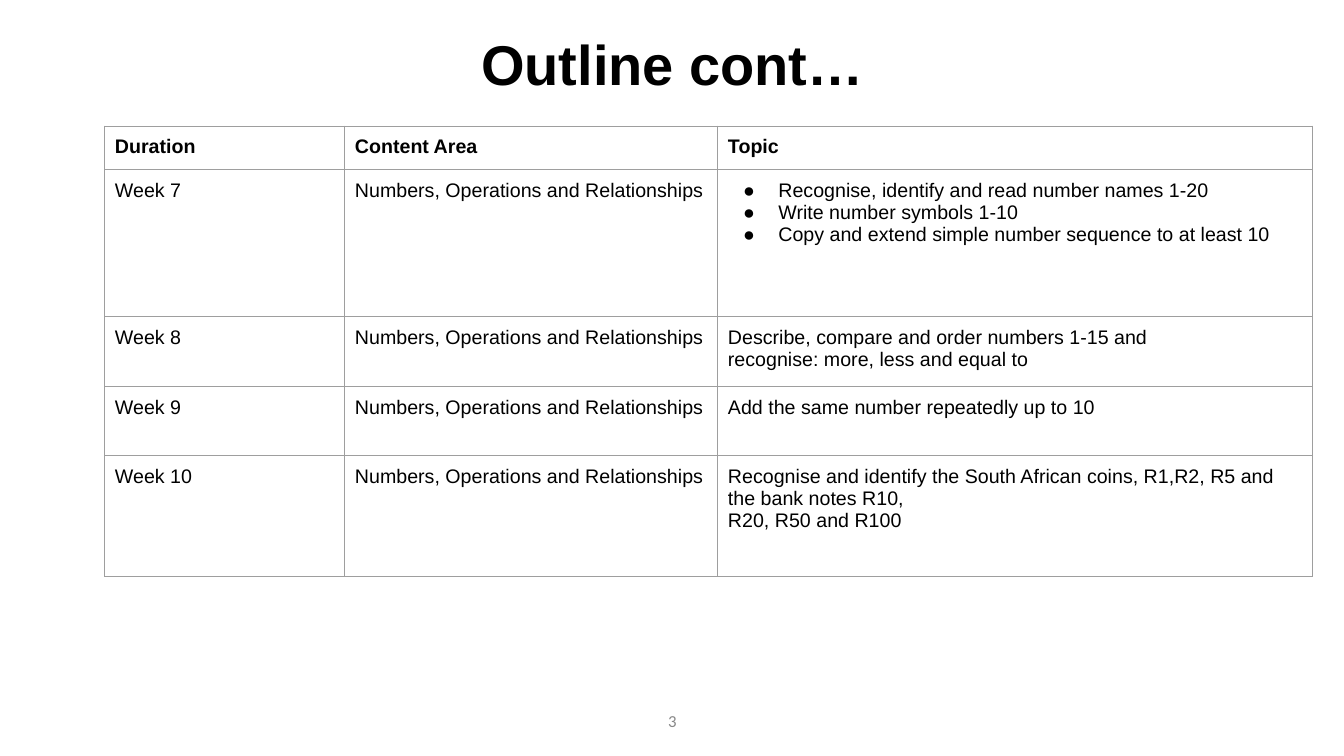
from dataclasses import dataclass

from lxml.etree import SubElement
from pptx import Presentation
from pptx.dml.color import RGBColor
from pptx.enum.text import MSO_ANCHOR, PP_ALIGN
from pptx.oxml import parse_xml
from pptx.oxml.ns import nsdecls, qn
from pptx.slide import Slide
from pptx.table import _Cell
from pptx.text.text import _Paragraph
from pptx.util import Inches, Pt

COLORS = {"text": "000000", "number": "888888", "border": "9E9E9E"}
COLUMN_WIDTHS = (2.38, 3.7, 5.9)
HEADINGS = ("Duration", "Content Area", "Topic")
HEADING_HEIGHT = 0.43
CONTENT_AREA = "Numbers, Operations and Relationships"


@dataclass(frozen=True)
class Week:
    number: int
    height: float
    topics: tuple[str, ...]
    bulleted: bool = False


@dataclass(frozen=True)
class Label:
    text: str
    left: float
    top: float
    width: float
    height: float
    size: int
    font: str
    color: str
    anchor: MSO_ANCHOR
    bold: bool = False
    line_spacing: float = 1.0


WEEKS = (
    Week(7, 1.46, (
        "Recognise, identify and read number names 1-20",
        "Write number symbols 1-10",
        "Copy and extend simple number sequence to at least 10",
    ), bulleted=True),
    Week(8, 0.69, (
        "Describe, compare and order numbers 1-15 and",
        "recognise: more, less and equal to",
    )),
    Week(9, 0.69, ("Add the same number repeatedly up to 10",)),
    Week(10, 1.2, (
        "Recognise and identify the South African coins, R1,R2, R5 and the bank notes R10,",
        "R20, R50 and R100",
    )),
)

LABELS = (
    Label("Outline cont…", 0.92, 0.12, 11.5, 0.9, 40, "Arial", "text",
          MSO_ANCHOR.BOTTOM, bold=True, line_spacing=0.9),
    Label("3", 4.42, 6.95, 4.5, 0.4, 12, "Calibri", "number", MSO_ANCHOR.MIDDLE),
)


def style_paragraph(para: _Paragraph, name: str, size: int, color: str, bold: bool) -> None:
    para.font.name = name
    para.font.size = Pt(size)
    para.font.bold = bold
    para.font.color.rgb = RGBColor.from_string(COLORS[color])


def add_label(page: Slide, label: Label) -> None:
    box = page.shapes.add_textbox(Inches(label.left), Inches(label.top),
                                  Inches(label.width), Inches(label.height))
    frame = box.text_frame
    frame.word_wrap = True
    frame.vertical_anchor = label.anchor
    para = frame.paragraphs[0]
    para.text = label.text
    para.alignment = PP_ALIGN.CENTER
    para.line_spacing = label.line_spacing
    style_paragraph(para, label.font, label.size, label.color, label.bold)


def add_bullet(para: _Paragraph) -> None:
    properties = para._p.get_or_add_pPr()
    properties.set("marL", str(Inches(0.5)))
    properties.set("indent", str(Inches(-0.35)))
    bullet_color = SubElement(properties, qn("a:buClr"))
    SubElement(bullet_color, qn("a:srgbClr"), val=COLORS["text"])
    SubElement(properties, qn("a:buFont"), typeface="Arial")
    SubElement(properties, qn("a:buChar"), char="●")


def add_borders(cell: _Cell) -> None:
    properties = cell._tc.get_or_add_tcPr()
    for index, side in enumerate(("lnL", "lnR", "lnT", "lnB")):
        properties.insert(index, parse_xml(
            f'<a:{side} {nsdecls("a")} w="{Pt(0.75)}"><a:solidFill>'
            f'<a:srgbClr val="{COLORS["border"]}"/></a:solidFill></a:{side}>'))


def fill_cell(cell: _Cell, lines: tuple[str, ...], bold: bool, bulleted: bool) -> None:
    cell.margin_left = cell.margin_right = Inches(0.1)
    cell.margin_top = cell.margin_bottom = Inches(0.1)
    cell.fill.background()
    add_borders(cell)
    cell.text = "\n".join(lines)
    for para in cell.text_frame.paragraphs:
        if bulleted:
            add_bullet(para)
        style_paragraph(para, "Arial", 14, "text", bold)


def add_outline_table(page: Slide) -> None:
    heights = (HEADING_HEIGHT, *(week.height for week in WEEKS))
    table = page.shapes.add_table(
        len(heights), len(HEADINGS), Inches(1.04), Inches(1.25),
        Inches(sum(COLUMN_WIDTHS)), Inches(sum(heights))).table
    table.first_row = table.horz_banding = False
    for column, width in zip(table.columns, COLUMN_WIDTHS):
        column.width = Inches(width)
    for row, height in zip(table.rows, heights):
        row.height = Inches(height)

    for column, heading in enumerate(HEADINGS):
        fill_cell(table.cell(0, column), (heading,), bold=True, bulleted=False)
    for row, week in enumerate(WEEKS, start=1):
        contents = ((f"Week {week.number}",), (CONTENT_AREA,), week.topics)
        for column, lines in enumerate(contents):
            fill_cell(table.cell(row, column), lines, bold=False,
                      bulleted=week.bulleted and lines is week.topics)


def main() -> None:
    deck = Presentation()
    deck.slide_width = Inches(13.33)
    deck.slide_height = Inches(7.5)
    page = deck.slides.add_slide(deck.slide_layouts[6])
    for label in LABELS:
        add_label(page, label)
    add_outline_table(page)
    deck.save("out.pptx")


if __name__ == "__main__":
    main()
